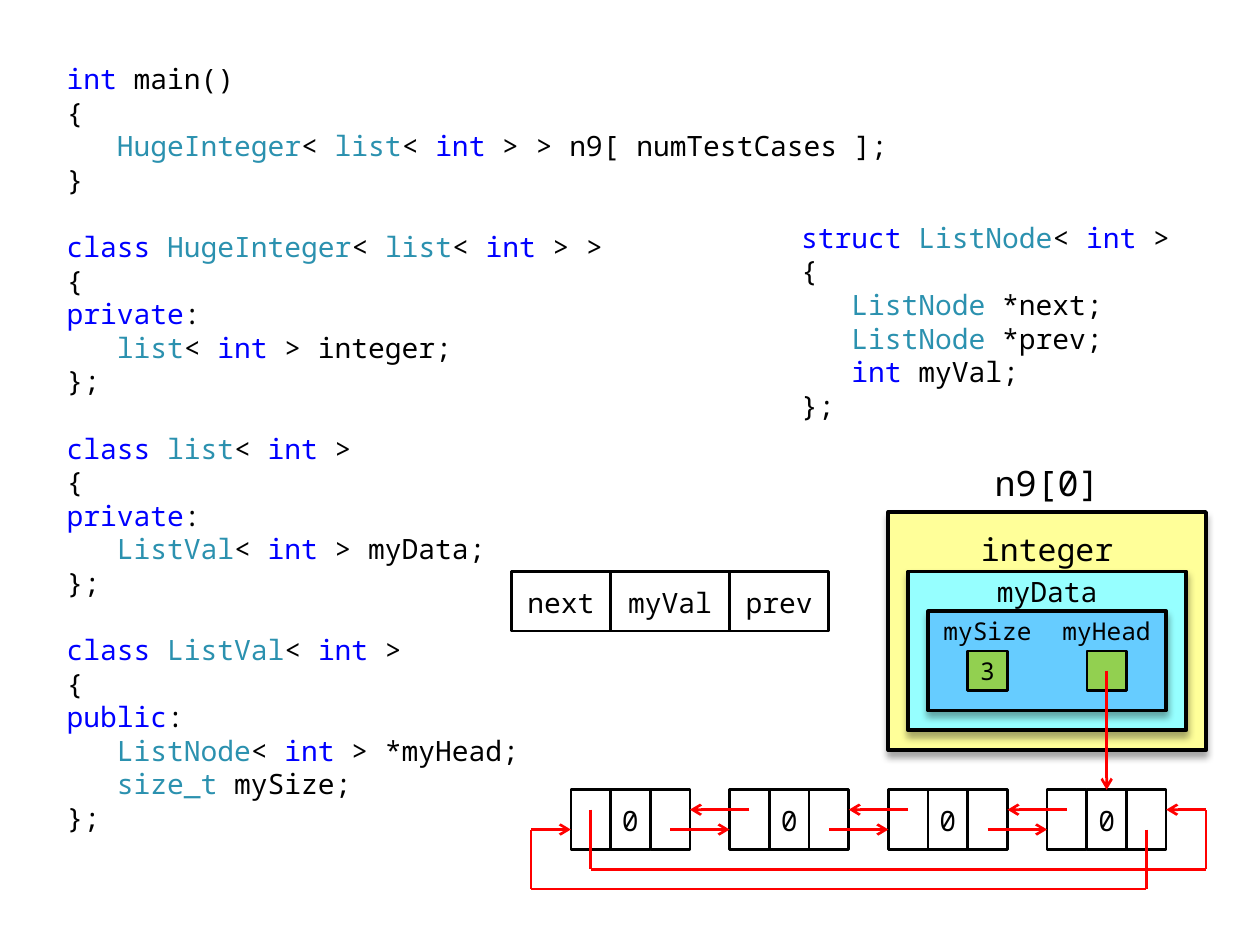
from dataclasses import dataclass
from itertools import groupby
from typing import Optional

from lxml.etree import SubElement
from pptx import Presentation
from pptx.dml.color import RGBColor
from pptx.enum.shapes import MSO_CONNECTOR, MSO_SHAPE
from pptx.enum.text import MSO_ANCHOR, PP_ALIGN
from pptx.oxml.ns import qn
from pptx.util import Pt


@dataclass(frozen=True)
class Theme:
    font: str = "Noto Sans Mono"
    black: str = "000000"
    keyword: str = "0000FF"
    type_name: str = "2B91AF"
    link: str = "FF0000"
    object: str = "FFFF99"
    member: str = "96FFFF"
    data: str = "66CCFF"
    field: str = "92D050"
    code_size: float = 16
    code_pitch: float = 19.2
    title_size: float = 20
    member_size: float = 18
    field_size: float = 14
    thin: float = 1.5
    medium: float = 2
    thick: float = 2.25


@dataclass(frozen=True)
class Block:
    column: float
    row: float
    width: float
    height: float
    text: str = ""
    size: float = 16
    fill: Optional[str] = None
    line: Optional[float] = None
    shadow: bool = False
    flow: bool = False
    top_inset: float = 0
    bottom_inset: float = 0


@dataclass(frozen=True)
class Link:
    start: tuple[float, float]
    end: tuple[float, float]
    arrow: bool = False


@dataclass(frozen=True)
class Listing:
    left: float
    top: float
    width: float
    height: float
    sections: tuple[str, ...]


THEME = Theme()
UNIT = 11.34
LEFT, TOP = 292.2, 326.6
NODE_ROW = 11
NODE_COLUMNS = range(3, 28, 8)
KEYWORDS = {"int", "class", "struct", "private", "public"}
TYPE_NAMES = {"HugeInteger", "list", "ListVal", "ListNode", "size_t"}

LISTINGS = (
    Listing(31, 31.7, 487.4, 453.6, (
        """int main()
{
   HugeInteger< list< int > > n9[ numTestCases ];
}""",
        """class HugeInteger< list< int > >
{
private:
   list< int > integer;
};""",
        """class list< int >
{
private:
   ListVal< int > myData;
};""",
        """class ListVal< int >
{
public:
   ListNode< int > *myHead;
   size_t mySize;
};""")),
    Listing(450.7, 122.4, 226.8, 124.6, (
        """struct ListNode< int >
{
   ListNode *next;
   ListNode *prev;
   int myVal;
};""",)),
)

OBJECT_BLOCKS = (
    Block(19, -3, 16, 12, fill=THEME.object, line=THEME.thick, shadow=True, flow=True),
    Block(20, 0, 14, 8, fill=THEME.member, line=THEME.thick, shadow=True, flow=True),
    Block(21, 2, 12, 5, fill=THEME.data, line=THEME.medium, shadow=True, flow=True),
    Block(23, -6, 8, 3, "n9[0]", THEME.title_size),
    Block(23, -3, 8, 3, "integer", THEME.member_size, top_inset=8.5),
    Block(23, 0, 8, 2, "myData"),
    Block(21, 2, 6, 2, "mySize", THEME.field_size),
    Block(27, 2, 6, 2, "myHead", THEME.field_size),
    Block(23, 4, 2, 2, "3", THEME.field_size, THEME.field, THEME.thin),
    Block(29, 4, 2, 2, fill=THEME.field, line=THEME.thin),
)

OUTER_LINKS = (
    Link((30, 5), (30, 11), True),
    Link((32, 13), (32, 16)),
    Link((32, 16), (1, 16)),
    Link((1, 16), (1, 13)),
    Link((1, 13), (3, 13), True),
    Link((4, 12), (4, 15)),
    Link((4, 15), (35, 15)),
    Link((35, 15), (35, 12)),
    Link((35, 12), (33, 12), True),
)


def color(value: str) -> RGBColor:
    return RGBColor.from_string(value)


def across(column: float) -> Pt:
    return Pt(LEFT + column * UNIT)


def down(row: float) -> Pt:
    return Pt(TOP + row * UNIT)


def cell(column: float, row: float, width: float, text: str = "") -> Block:
    return Block(column, row, width, 3, text, THEME.code_size, line=THEME.thin,
                 top_inset=4.25, bottom_inset=2.85)


def add_shadow(shape) -> None:
    effects = shape._element.spPr.find(qn("a:effectLst"))
    shadow = SubElement(effects, qn("a:outerShdw"), blurRad=str(Pt(4)),
                        dist=str(Pt(3)), dir="5400000", rotWithShape="0")
    tint = SubElement(shadow, qn("a:srgbClr"), val=THEME.black)
    SubElement(tint, qn("a:alpha"), val="35000")


def draw_block(page, block: Block) -> None:
    place = (across(block.column), down(block.row),
             Pt(block.width * UNIT), Pt(block.height * UNIT))
    if block.line is None:
        box = page.shapes.add_textbox(*place)
    else:
        kind = MSO_SHAPE.FLOWCHART_PROCESS if block.flow else MSO_SHAPE.RECTANGLE
        box = page.shapes.add_shape(kind, *place)
        box.shadow.inherit = False
        box.line.color.rgb = color(THEME.black)
        box.line.width = Pt(block.line)
        if block.fill:
            box.fill.solid()
            box.fill.fore_color.rgb = color(block.fill)
        else:
            box.fill.background()
    if block.shadow:
        add_shadow(box)
    if block.text:
        frame = box.text_frame
        frame.word_wrap = True
        frame.vertical_anchor = MSO_ANCHOR.MIDDLE
        frame.margin_left = frame.margin_right = Pt(2.8)
        frame.margin_top = Pt(block.top_inset)
        frame.margin_bottom = Pt(block.bottom_inset)
        para = frame.paragraphs[0]
        para.text = block.text
        para.alignment = PP_ALIGN.CENTER
        para.font.name = THEME.font
        para.font.size = Pt(block.size)
        para.font.color.rgb = color(THEME.black)


def draw_link(page, link: Link) -> None:
    (x1, y1), (x2, y2) = link.start, link.end
    line = page.shapes.add_connector(MSO_CONNECTOR.STRAIGHT, across(x1), down(y1),
                                     across(x2), down(y2))
    line.line.color.rgb = color(THEME.link)
    line.line.width = Pt(THEME.thin)
    properties = line._element.spPr
    if link.arrow:
        SubElement(properties.find(qn("a:ln")), qn("a:tailEnd"), type="arrow")
    SubElement(properties, qn("a:effectLst"))


def word_color(word: str) -> str:
    if word in KEYWORDS:
        return THEME.keyword
    return THEME.type_name if word in TYPE_NAMES else THEME.black


def draw_listing(page, listing: Listing) -> None:
    box = page.shapes.add_textbox(Pt(listing.left), Pt(listing.top),
                                  Pt(listing.width), Pt(listing.height))
    frame = box.text_frame
    frame.word_wrap = True
    para = None
    for section in listing.sections:
        for number, code in enumerate(section.splitlines()):
            starts_section = number == 0 and para is not None
            para = frame.add_paragraph() if para is not None else frame.paragraphs[0]
            para.line_spacing = Pt(THEME.code_pitch)
            para.space_before = Pt(THEME.code_pitch if starts_section else 0)
            para.font.name = THEME.font
            para.font.size = Pt(THEME.code_size)
            for _, letters in groupby(code, lambda sign: sign.isalnum() or sign == "_"):
                span = para.add_run()
                span.text = "".join(letters)
                span.font.color.rgb = color(word_color(span.text))


def main() -> None:
    deck = Presentation()
    deck.slide_width, deck.slide_height = Pt(720), Pt(540)
    page = deck.slides.add_slide(deck.slide_layouts[6])
    for listing in LISTINGS:
        draw_listing(page, listing)
    legend = [cell(0, 0, 5, "next"), cell(5, 0, 6, "myVal"), cell(11, 0, 5, "prev")]
    nodes = [cell(column + 2 * index, NODE_ROW, 2, text)
             for column in NODE_COLUMNS for index, text in enumerate(("", "0", ""))]
    for block in (*OBJECT_BLOCKS, *legend, *nodes):
        draw_block(page, block)
    inner_links = [link for column in NODE_COLUMNS[:-1] for link in (
        Link((column + 5, 13), (column + 8, 13), True),
        Link((column + 9, 12), (column + 6, 12), True))]
    for link in (*OUTER_LINKS, *inner_links):
        draw_link(page, link)
    deck.save("out.pptx")


if __name__ == "__main__":
    main()
